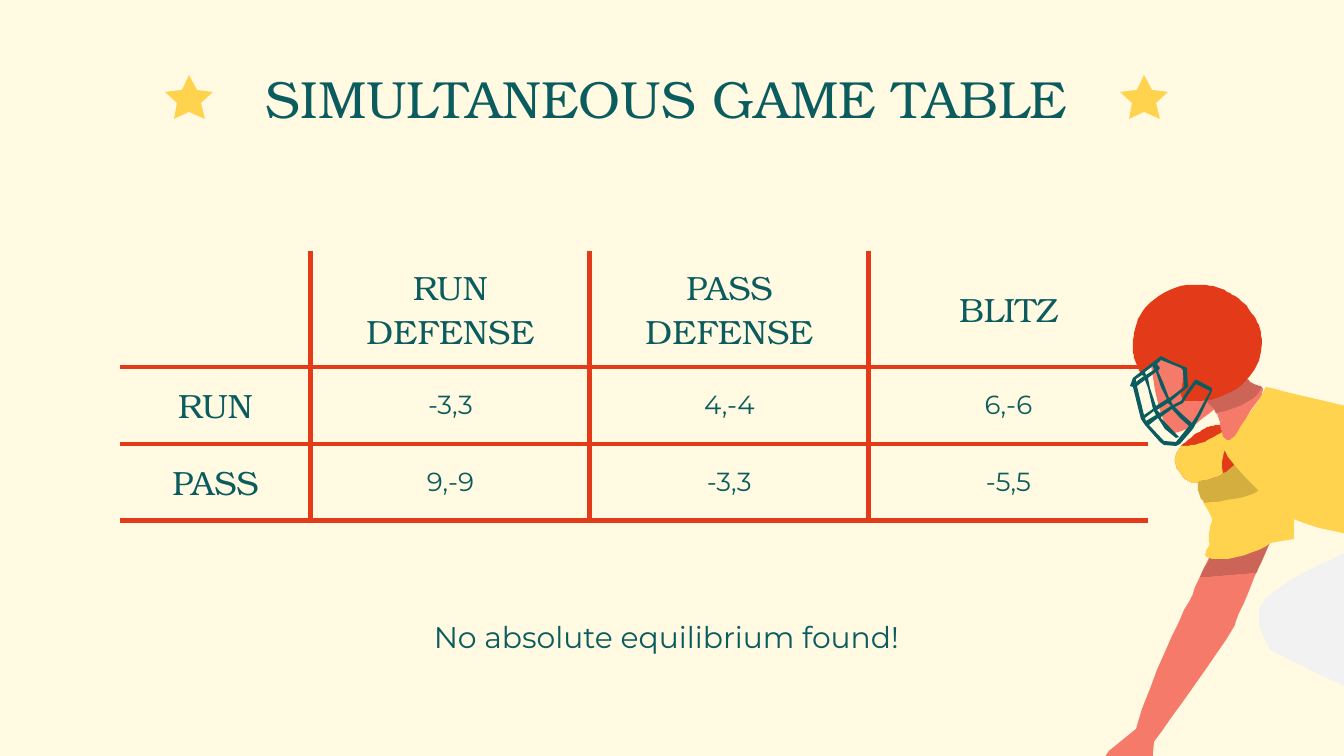
from lxml import etree
from pptx import Presentation
from pptx.dml.color import RGBColor
from pptx.enum.text import MSO_ANCHOR, PP_ALIGN
from pptx.oxml.ns import qn
from pptx.util import Pt

PX = 914400 / 134.4
CENTER = PP_ALIGN.CENTER
MIDDLE = MSO_ANCHOR.MIDDLE

CREAM = RGBColor(0xFF, 0xFA, 0xE1)
TEAL = RGBColor(0x0B, 0x5C, 0x5E)
RED = RGBColor(0xE3, 0x3B, 0x1A)
YELLOW = RGBColor(0xFF, 0xD3, 0x4E)
SKIN = RGBColor(0xF6, 0x7A, 0x6A)
GREY = RGBColor(0xF2, 0xF2, 0xF2)
BLACK = RGBColor(0, 0, 0)
SERIF = "TeX Gyre Bonum"
SANS = "Montserrat"

PAYOFFS = [
    ["", "RUN DEFENSE", "PASS DEFENSE", "BLITZ"],
    ["RUN", "-3,3", "4,-4", "6,-6"],
    ["PASS", "9,-9", "-3,3", "-5,5"],
]
STAR = [(24, 0), (17, 15), (0, 17), (12, 28), (9, 44), (24, 37),
        (40, 44), (36, 28), (48, 17), (32, 15)]

# In an outline two numbers are a corner; six are a Bezier curve.
THIGH = [(282, 253), (282, 253, 169, 298, 163, 320), (155, 341, 172, 364, 173, 366), (289, 422)]
FACE = [(110, 52), (52, 60), (51, 62, 58, 148, 77, 148), (98, 146, 132, 109, 132, 108),
        (132, 106, 110, 52, 110, 52)]
ARM = [(148, 239), (118, 258), (118, 262, 97, 298, 95, 309), (95, 309, 58, 376, 38, 444),
       (11, 466), (0, 482), (12, 481), (12, 481, 17, 476, 22, 476), (26, 476, 32, 481, 32, 481),
       (54, 480), (56, 457), (56, 457, 136, 347, 137, 340), (138, 333, 175, 251, 175, 251)]
ARM_SHADE = [(148, 239), (118, 258), (118, 261, 109, 278, 102, 292),
             (116, 292, 140, 289, 159, 288), (167, 269, 175, 251, 175, 251)]
SLEEVE_FOLD = (99, 195, 99, 204, 103, 214)
SLEEVE = [(125, 140), (125, 141, 112, 168, 103, 185), SLEEVE_FOLD,
          (109, 222, 114, 233, 114, 234), (114, 235, 109, 254, 112, 259),
          (112, 259, 105, 269, 108, 271), (109, 273, 114, 274, 122, 274),
          (134, 274, 153, 271, 173, 258), (196, 254), (196, 230), (129, 163)]
SLEEVE_SHADE = [(130, 159), (128, 159), (114, 163), (110, 171, 106, 179, 103, 185), SLEEVE_FOLD,
                (105, 215, 106, 216, 106, 218), (128, 216, 161, 212, 167, 200)]
COLLAR_RIM = [(82, 163), (71, 175, 81, 187, 87, 194), (90, 196, 94, 198, 98, 198),
              (99, 198, 101, 196, 103, 196), (114, 194, 122, 191, 125, 188)]
COLLAR_TIP = (138, 145, 136, 144, 132, 142)
COLLAR_LINING = [(122, 140), (117, 140, 112, 141, 106, 144), (99, 148, 91, 153, 83, 161),
                 *COLLAR_RIM, (128, 187), (156, 167, 151, 155, 141, 146), COLLAR_TIP,
                 (130, 141, 128, 141, 122, 140)]
COLLAR = [(132, 142), (128, 145, 122, 148, 114, 153), (102, 160, 90, 161, 83, 161),
          *COLLAR_RIM, (121, 168, 132, 155, 141, 146), COLLAR_TIP]
SHOULDER = [(168, 102), (142, 148, 129, 153, 125, 153), (122, 153),
            (124, 181, 195, 234, 195, 234), (222, 247, 347, 269, 347, 269),
            (347, 269, 362, 153, 360, 151), (359, 148, 168, 102, 168, 102)]
THROAT = (112, 120, 116, 124, 118, 128)
NAPE = [(163, 101, 163, 101, 161, 101), (156, 99, 149, 95, 144, 90), (144, 89, 141, 87, 140, 87)]
NECK = [(140, 87), (116, 94), (109, 95), (105, 97), (101, 102), (99, 105, 99, 108, 102, 110),
        (103, 112, 106, 114, 109, 117), THROAT, (121, 132, 122, 136, 122, 140), (125, 151),
        (126, 153, 129, 155, 130, 155), (133, 155, 134, 153, 136, 152),
        (144, 140, 157, 120, 164, 109), (165, 106, 165, 103, 164, 102), *NAPE]
NECK_SHADE = [(140, 87), (116, 94), (109, 117), THROAT, (133, 125, 157, 118, 164, 102), *NAPE]
HELMET = [(98, 0), (94, 0, 91, 0, 89, 0), (69, 3, 51, 15, 42, 31), (36, 42, 35, 54, 35, 65),
          (36, 74, 39, 82, 43, 89), (63, 74), (87, 83), (83, 108), (83, 112, 85, 114, 87, 116),
          (90, 116, 94, 116, 98, 116), (103, 116), (137, 114, 164, 89, 164, 58),
          (164, 46, 159, 34, 152, 26), (147, 17, 138, 11, 129, 7), (121, 1, 110, 0, 98, 0)]
CAGE_RIM = [(63, 71), (54, 78), (35, 93), (32, 101), (35, 102), (43, 134), (47, 140), (62, 157),
            (66, 160), (78, 161), (82, 159), (95, 144), (103, 129), (114, 106), (114, 103),
            (99, 95), (97, 95), (89, 106), (83, 116), (75, 120), (73, 116), (85, 106),
            (90, 102), (89, 83), (87, 82), (75, 77)]
CAGE_GAPS = [
    [(55, 81), (56, 85), (48, 90), (47, 87)],
    [(44, 90), (46, 91), (38, 97), (38, 94)],
    [(63, 75), (83, 83), (85, 85), (86, 102), (73, 112), (71, 113), (65, 97), (60, 86),
     (62, 83), (59, 79)],
    [(58, 87), (63, 102), (69, 114), (58, 121), (52, 103), (50, 93)],
    [(70, 118), (73, 121), (62, 128), (59, 125)],
    [(47, 95), (50, 103), (55, 124), (46, 130), (39, 101)],
    [(56, 126), (58, 130), (48, 136), (47, 133)],
    [(98, 99), (112, 106), (99, 130), (94, 138), (85, 130), (77, 122), (85, 118), (90, 110)],
    [(74, 124), (82, 133), (91, 141), (78, 157), (66, 156), (51, 140), (60, 133), (67, 144),
     (78, 153), (81, 152), (63, 133), (63, 132)],
]
PLAYER = [  # colour, opacity in percent, contours; back to front
    (GREY, 100, [THIGH]), (SKIN, 100, [FACE]), (SKIN, 100, [ARM]), (BLACK, 17, [ARM_SHADE]),
    (YELLOW, 100, [SLEEVE]), (BLACK, 17, [SLEEVE_SHADE]), (RED, 100, [COLLAR_LINING]),
    (YELLOW, 100, [COLLAR]), (YELLOW, 100, [SHOULDER]), (SKIN, 100, [NECK]),
    (BLACK, 17, [NECK_SHADE]), (RED, 100, [HELMET]), (TEAL, 100, [CAGE_RIM, *CAGE_GAPS]),
]


def emu(px):
    return round(px * PX)


def flatten(outline, steps=10):
    """Turn corners and Bezier curves into a list of points."""
    points = []
    for segment in outline:
        if len(segment) == 2:
            points.append(segment)
            continue
        (x0, y0), (x1, y1, x2, y2, x3, y3) = points[-1], segment
        for step in range(1, steps + 1):
            t = step / steps
            a, b, c, d = (1 - t) ** 3, 3 * t * (1 - t) ** 2, 3 * t * t * (1 - t), t ** 3
            points.append((a * x0 + b * x1 + c * x2 + d * x3, a * y0 + b * y1 + c * y2 + d * y3))
    return points


def add_outline(slide, left, top, contours, color, opacity=100):
    first, *others = [flatten(contour) for contour in contours]
    builder = slide.shapes.build_freeform(*first[0], scale=PX)
    builder.add_line_segments(first[1:], close=True)
    for points in others:
        builder.move_to(*points[0])
        builder.add_line_segments(points[1:], close=True)
    shape = builder.convert_to_shape(emu(left), emu(top))
    shape.shadow.inherit = False
    shape.line.fill.background()
    shape.fill.solid()
    shape.fill.fore_color.rgb = color
    if opacity < 100:
        rgb = shape._element.spPr.find(qn("a:solidFill"))[0]
        etree.SubElement(rgb, qn("a:alpha"), val=str(opacity * 1000))


def format_text(frame, size, font):
    paragraph = frame.paragraphs[0]
    paragraph.alignment = CENTER
    for run in paragraph.runs:
        run.font.size = Pt(size)
        run.font.name = font
        run.font.color.rgb = TEAL


def add_text(slide, left, top, width, height, text, size, font, margin):
    frame = slide.shapes.add_textbox(emu(left), emu(top), emu(width), emu(height)).text_frame
    frame.word_wrap = True
    frame.vertical_anchor = MIDDLE
    frame.margin_left = frame.margin_right = frame.margin_top = frame.margin_bottom = emu(margin)
    frame.text = text
    format_text(frame, size, font)


def add_heading(slide, left, top, width, height):
    add_text(slide, left + 41, top, width - 82, height, "SIMULTANEOUS GAME TABLE", 28, SERIF, 5)
    for star_left in (left, left + width - 48):
        add_outline(slide, star_left, top + 13, [STAR], YELLOW)


def set_borders(cell, sides):
    """Rule the named sides of the cell (L, R, T, B) and clear the others."""
    properties = cell._tc.get_or_add_tcPr()
    for side in "LRTB":
        line = etree.SubElement(properties, qn(f"a:ln{side}"), w=str(Pt(3)))
        if side in sides:
            fill = etree.SubElement(line, qn("a:solidFill"))
            etree.SubElement(fill, qn("a:srgbClr"), val=str(RED))
        else:
            etree.SubElement(line, qn("a:noFill"))


def add_payoff_table(slide, left, top, column_widths, row_heights):
    table = slide.shapes.add_table(
        len(row_heights), len(column_widths), emu(left), emu(top),
        emu(sum(column_widths)), emu(sum(row_heights))).table
    table.first_row = table.horz_banding = False
    for column, width in zip(table.columns, column_widths):
        column.width = emu(width)
    for row, height in zip(table.rows, row_heights):
        row.height = emu(height)
    for r, values in enumerate(PAYOFFS):
        for c, value in enumerate(values):
            cell = table.cell(r, c)
            inner_sides = ("L" if c else "") + ("R" if c < len(values) - 1 else "")
            set_borders(cell, inner_sides + ("TB" if r else "B"))
            cell.fill.background()
            cell.vertical_anchor = MIDDLE
            cell.margin_left = cell.margin_right = emu(13)
            cell.margin_top = cell.margin_bottom = emu(13)
            cell.text = value
            is_label = r == 0 or c == 0
            format_text(cell.text_frame, 18 if is_label else 14, SERIF if is_label else SANS)


def add_player(slide, left, top):
    for color, opacity, contours in PLAYER:
        add_outline(slide, left, top, contours, color, opacity)


def main():
    deck = Presentation()
    deck.slide_width, deck.slide_height = emu(1344), emu(756)
    slide = deck.slides.add_slide(deck.slide_layouts[6])
    slide.background.fill.solid()
    slide.background.fill.fore_color.rgb = CREAM
    add_heading(slide, 165, 62, 1003, 71)
    add_payoff_table(slide, 120, 251, [191, 279, 279, 279], [116, 77, 77])
    add_player(slide, 1098, 285)
    add_text(slide, 84, 605, 1165, 63, "No absolute equilibrium found!", 16, SANS, 13)
    deck.save("out.pptx")


if __name__ == "__main__":
    main()
